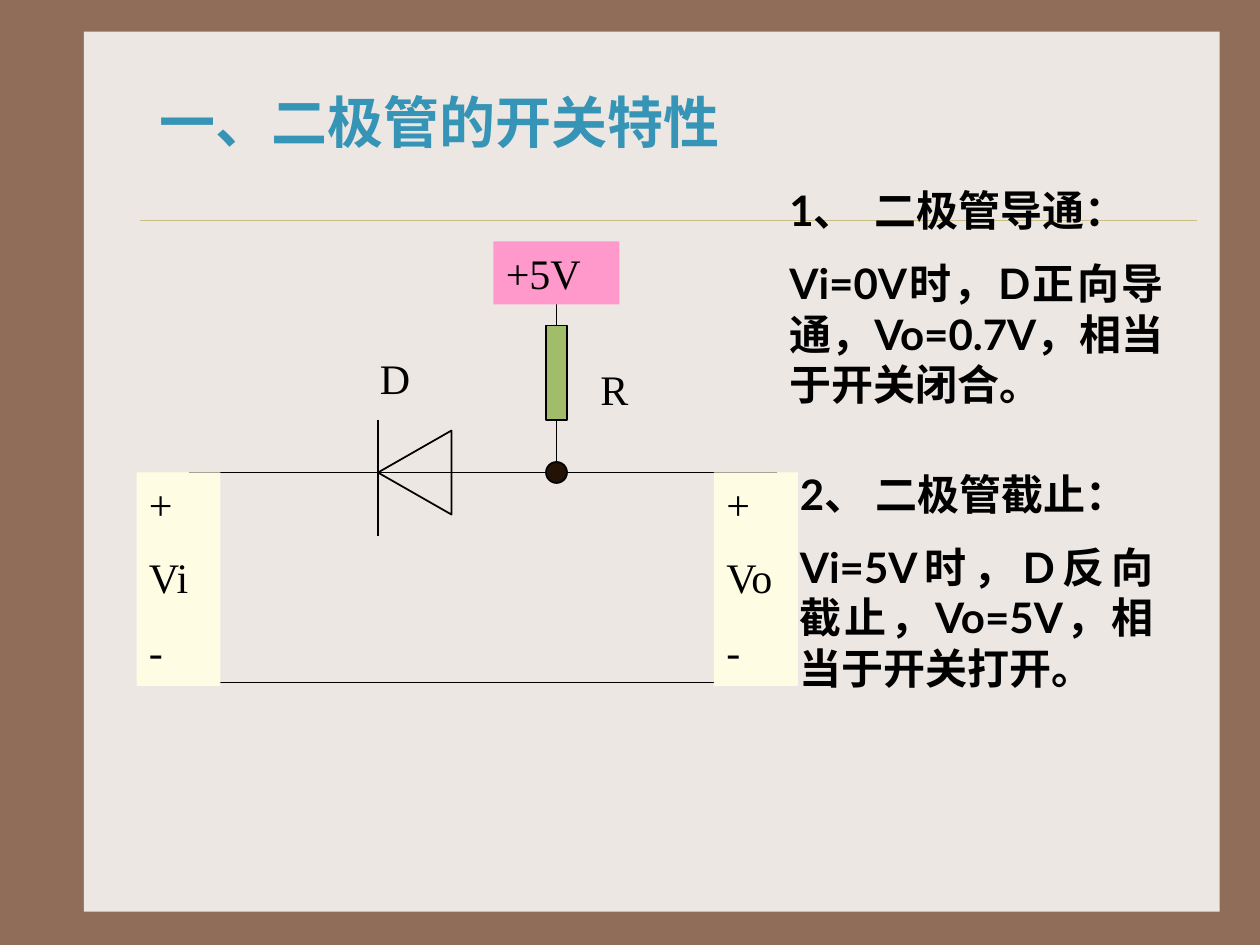
from lxml import etree
from pptx import Presentation
from pptx.dml.color import RGBColor
from pptx.enum.shapes import MSO_CONNECTOR, MSO_SHAPE
from pptx.enum.text import MSO_ANCHOR, PP_ALIGN
from pptx.oxml.ns import qn
from pptx.util import Pt

STRAIGHT = MSO_CONNECTOR.STRAIGHT
RECT = MSO_SHAPE.RECTANGLE
OVAL = MSO_SHAPE.OVAL
TRIANGLE = MSO_SHAPE.ISOSCELES_TRIANGLE
TOP, MIDDLE = MSO_ANCHOR.TOP, MSO_ANCHOR.MIDDLE
LEFT, JUSTIFY = PP_ALIGN.LEFT, PP_ALIGN.JUSTIFY

BROWN = RGBColor(0x90, 0x6D, 0x58)
PAPER = RGBColor(0xED, 0xE7, 0xE3)
GOLD = RGBColor(0xCB, 0xBD, 0x83)
BLUE = RGBColor(0x36, 0x94, 0xB6)
BLACK = RGBColor(0x00, 0x00, 0x00)
GREEN = RGBColor(0xA1, 0xBD, 0x69)
PINK = RGBColor(0xFF, 0x99, 0xCC)
CREAM = RGBColor(0xFE, 0xFD, 0xE3)
DARK = RGBColor(0x22, 0x13, 0x04)

SANS, SERIF = "Lato", "Times New Roman"
TITLE = {"size": Pt(32), "bold": True}
LABEL = {"size": Pt(24), "bold": False}
NOTE = {"size": Pt(24), "bold": True}


def add_line(s, x1, y1, x2, y2, color=BLACK, width=1):
    line = s.shapes.add_connector(STRAIGHT, Pt(x1), Pt(y1), Pt(x2), Pt(y2))
    line.line.color.rgb = color
    line.line.width = Pt(width)
    etree.SubElement(line._element.spPr, qn("a:effectLst"))


def add_shape(s, kind, x, y, w, h, fill=None, outline=None):
    sp = s.shapes.add_shape(kind, Pt(x), Pt(y), Pt(w), Pt(h))
    sp.shadow.inherit = False
    if fill is None:
        sp.fill.background()
    else:
        sp.fill.solid()
        sp.fill.fore_color.rgb = fill
    if outline is None:
        sp.line.fill.background()
    else:
        sp.line.color.rgb = outline
        sp.line.width = Pt(1)
    return sp


def write_text(sp, paragraphs, style, color=BLACK, anchor=TOP):
    tf = sp.text_frame
    tf.word_wrap = True
    tf.vertical_anchor = anchor
    for i, (align, runs) in enumerate(paragraphs):
        p = tf.paragraphs[0] if i == 0 else tf.add_paragraph()
        p.alignment = align
        if i:
            p.space_before = Pt(13)
        for text, font in runs:
            r = p.add_run()
            r.text = text
            r.font.color.rgb = color
            for name, value in {**style, "name": font}.items():
                setattr(r.font, name, value)


def add_text(s, x, y, w, h, paragraphs, style, **options):
    sp = s.shapes.add_textbox(Pt(x), Pt(y), Pt(w), Pt(h))
    write_text(sp, paragraphs, style, **options)


def labels(*texts):
    return [(LEFT, [(text, SERIF)]) for text in texts]


def draw_frame(s, x, y, w, h):
    s.background.fill.solid()
    s.background.fill.fore_color.rgb = BROWN
    add_shape(s, RECT, x, y, w, h, PAPER)
    add_line(s, x + 32, y + 108, x + w - 13, y + 108, GOLD, 0.25)


def draw_title(s, x, y, w, h):
    runs = [("一", SANS), ("、二极管的开关特性", SERIF)]
    add_text(s, x, y, w, h, [(LEFT, runs)], TITLE, color=BLUE, anchor=MIDDLE)


def draw_circuit(s, x, y, w, h):
    wire_y = y + 132
    node_x = x + 240
    cathode_x = x + 138
    terminal_w = 48

    add_line(s, x + 30, wire_y, x + w - 12, wire_y)
    add_line(s, x + 24, y + h - 2, x + w - 6, y + h - 2)
    add_line(s, cathode_x, wire_y - 30, cathode_x, wire_y + 36)
    diode = add_shape(s, TRIANGLE, cathode_x - 3, wire_y - 21, 48, 42, outline=BLACK)
    diode.rotation = 270

    add_line(s, node_x, y + 24, node_x, y + 48)
    add_line(s, node_x, y + 102, node_x, wire_y)
    add_shape(s, RECT, node_x - 6, y + 48, 12, 54, GREEN, BLACK)
    add_shape(s, OVAL, node_x - 6, wire_y - 6, 12, 12, DARK, BLACK)
    supply = add_shape(s, RECT, node_x - 36, y, 72, 36, PINK)
    write_text(supply, labels("+5V"), LABEL)

    for left, name in ((x, "Vi"), (x + w - terminal_w, "Vo")):
        terminal = add_shape(s, RECT, left, wire_y, terminal_w, h - 132, CREAM)
        write_text(terminal, labels("+", name, "-"), LABEL)
    add_text(s, x + 132, y + 60, 48, 36, labels("D"), LABEL)
    add_text(s, x + 258, y + 66, 30, 36, labels("R"), LABEL)


def draw_note(s, x, y, w, h, heading, body):
    add_text(s, x, y, w, h, [(LEFT, heading), (JUSTIFY, body)], NOTE)


def main():
    prs = Presentation()
    prs.slide_width, prs.slide_height = Pt(720), Pt(540)
    s = prs.slides.add_slide(prs.slide_layouts[6])
    draw_frame(s, 48, 18, 649, 503)
    draw_title(s, 84, 36, 408, 66)
    draw_circuit(s, 78, 138, 378, 254)
    draw_note(
        s, 444, 102, 228, 137,
        [("1、  ", SANS), ("二极管导通：", SERIF)],
        [("Vi=0V时，D正向导通，Vo=0.7V", SANS), ("，相当于开关闭合。", SERIF)],
    )
    draw_note(
        s, 450, 264, 216, 137,
        [("2、 ", SANS), ("二极管截止：", SERIF)],
        [("Vi=5V时，D反向", SANS), ("截止", SERIF),
         ("，Vo=5V", SANS), ("，相当于开关打开。", SERIF)],
    )
    prs.save("out.pptx")


if __name__ == "__main__":
    main()
